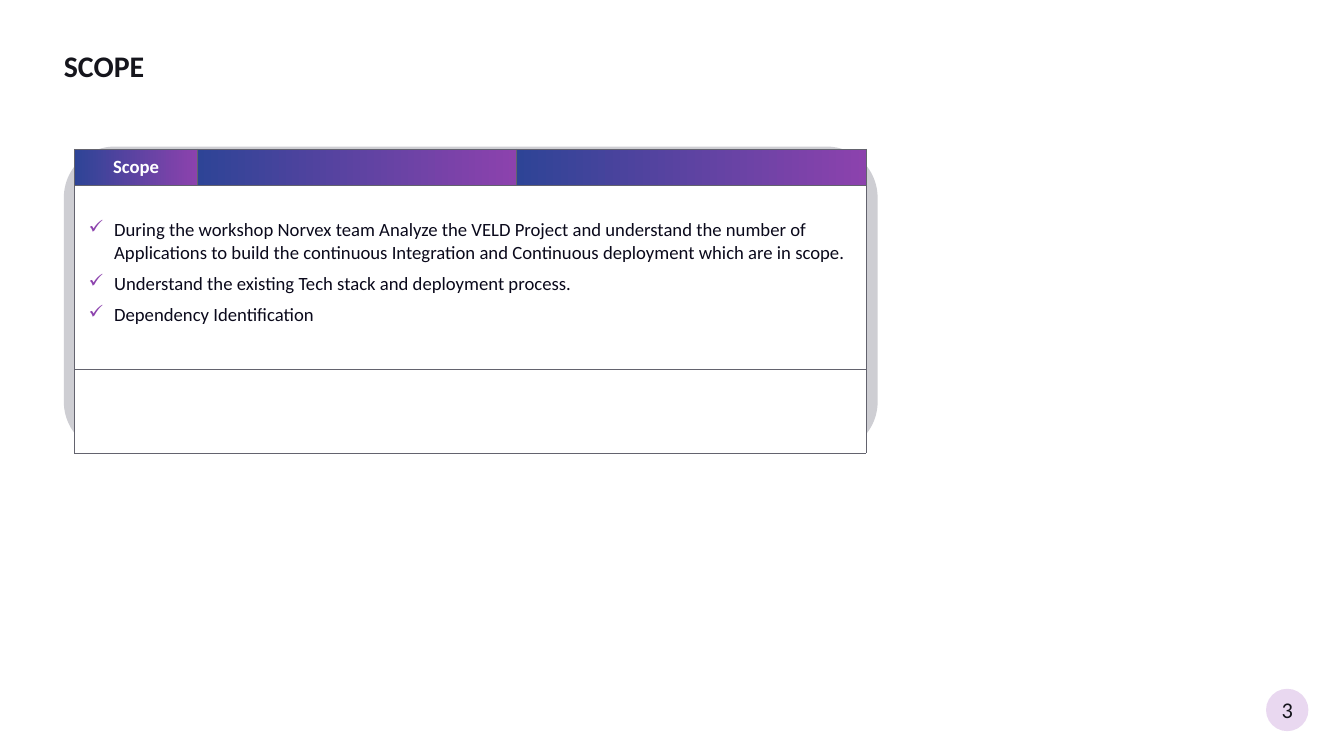
import dataclasses

import lxml.etree
import pptx
import pptx.dml.color
import pptx.enum.shapes
import pptx.enum.text
import pptx.oxml.ns
import pptx.util

Pt = pptx.util.Pt
Align = pptx.enum.text.PP_ALIGN
Anchor = pptx.enum.text.MSO_ANCHOR
Shape = pptx.enum.shapes.MSO_SHAPE


@dataclasses.dataclass(frozen=True)
class Theme:
    font: str = "Calibri"
    title_size: float = 32
    number_size: float = 24
    body_size: float = 20
    ink: str = "15151C"
    body: str = "0A091B"
    white: str = "FFFFFF"
    panel: str = "CECED3"
    badge: str = "E9D8F0"
    border: str = "63636E"
    blue: str = "2E4496"
    purple: str = "8C42AD"


@dataclasses.dataclass(frozen=True)
class Box:
    left: float
    top: float
    width: float
    height: float

    def points(self) -> tuple:
        return tuple(Pt(v) for v in dataclasses.astuple(self))


THEME = Theme()
TITLE = Box(68.4, 31.7, 1220.4, 117.4)
PANEL = Box(68.4, 157, 871.9, 328.3)
TABLE = Box(79.9, 159.8, 848.2, 325.4)
BADGE = Box(1356.5, 738, 45.4, 45.4)
COLUMNS = (131.8, 341.3, 375.1)
ROWS = (38.9, 196.6, 90)
SCOPE_ITEMS = (
    "During the workshop Norvex team Analyze the VELD Project and understand "
    "the number of Applications to build the continuous Integration and "
    "Continuous deployment which are in scope.",
    "Understand the existing Tech stack and deployment process.",
    "Dependency Identification",
)


def rgb(color: str):
    return pptx.dml.color.RGBColor.from_string(color)


def write(p, text: str, *, size: float, color: str, bold: bool = False,
          align=Align.LEFT) -> None:
    p.alignment = align
    r = p.add_run()
    r.text = text
    r.font.name = THEME.font
    r.font.size = Pt(size)
    r.font.bold = bold
    r.font.color.rgb = rgb(color)


def add_panel(s, kind, box: Box, color: str):
    sp = s.shapes.add_shape(kind, *box.points())
    sp.shadow.inherit = False
    sp.fill.solid()
    sp.fill.fore_color.rgb = rgb(color)
    sp.line.fill.background()
    return sp


def sub(parent, tag: str, **attrs: str):
    return lxml.etree.SubElement(parent, pptx.oxml.ns.qn(tag), attrs)


def add_borders(cell) -> None:
    """Draw all four sides; call before filling, as the schema puts lines first."""
    props = cell._tc.get_or_add_tcPr()
    for side in "LRTB":
        line = sub(props, f"a:ln{side}", w=str(Pt(0.5)))
        sub(sub(line, "a:solidFill"), "a:srgbClr", val=THEME.border)


def fill_header(cell) -> None:
    cell.fill.gradient()
    cell.fill.gradient_angle = 0
    for stop, color in zip(cell.fill.gradient_stops, (THEME.blue, THEME.purple)):
        stop.color.rgb = rgb(color)


def add_check(p) -> None:
    props = p._p.get_or_add_pPr()
    props.set("marL", str(Pt(41)))
    props.set("indent", str(-Pt(27.4)))
    sub(sub(props, "a:buClr"), "a:srgbClr", val=THEME.purple)
    sub(props, "a:buChar", char="✓")


def write_scope_list(cell) -> None:
    cell.margin_left = cell.margin_right = Pt(1.4)
    cell.margin_top, cell.margin_bottom = Pt(35.3), Pt(0)
    tf = cell.text_frame
    for i, item in enumerate(SCOPE_ITEMS):
        p = tf.add_paragraph() if i else tf.paragraphs[0]
        p.space_before = Pt(6 if i else 0)
        p.space_after = Pt(3)
        add_check(p)
        write(p, item, size=THEME.body_size, color=THEME.body)


def add_scope_table(s) -> None:
    table = s.shapes.add_table(len(ROWS), len(COLUMNS), *TABLE.points()).table
    for column, width in zip(table.columns, COLUMNS):
        column.width = Pt(width)
    for i, (row, height) in enumerate(zip(table.rows, ROWS)):
        row.height = Pt(height)
        for cell in row.cells:
            add_borders(cell)
            if i == 0:
                fill_header(cell)
            else:
                cell.fill.solid()
                cell.fill.fore_color.rgb = rgb(THEME.white)
        if i:
            table.cell(i, 0).merge(table.cell(i, len(COLUMNS) - 1))

    header = table.cell(0, 0)
    header.vertical_anchor = Anchor.MIDDLE
    write(header.text_frame.paragraphs[0], "Scope", size=THEME.body_size,
          color=THEME.white, bold=True, align=Align.CENTER)
    write_scope_list(table.cell(1, 0))


def add_title(s) -> None:
    title = s.shapes.title
    title.left, title.top, title.width, title.height = TITLE.points()
    tf = title.text_frame
    tf.margin_left = tf.margin_right = tf.margin_top = tf.margin_bottom = 0
    tf.vertical_anchor = Anchor.TOP
    tf.word_wrap = True
    tf.auto_size = pptx.enum.text.MSO_AUTO_SIZE.NONE
    p = tf.paragraphs[0]
    p.line_spacing = Pt(58)
    write(p, "SCOPE", size=THEME.title_size, color=THEME.ink, bold=True)


def add_page_number(s) -> None:
    tf = add_panel(s, Shape.OVAL, BADGE, THEME.badge).text_frame
    tf.margin_left = tf.margin_right = 0
    tf.vertical_anchor = Anchor.MIDDLE
    write(tf.paragraphs[0], "3", size=THEME.number_size, color=THEME.ink,
          align=Align.CENTER)


def main() -> None:
    prs = pptx.Presentation()
    prs.slide_width, prs.slide_height = Pt(1440), Pt(810)
    s = prs.slides.add_slide(prs.slide_layouts.get_by_name("Title Only"))
    add_page_number(s)
    add_title(s)
    add_panel(s, Shape.ROUNDED_RECTANGLE, PANEL, THEME.panel)
    add_scope_table(s)
    prs.save("out.pptx")


if __name__ == "__main__":
    main()
